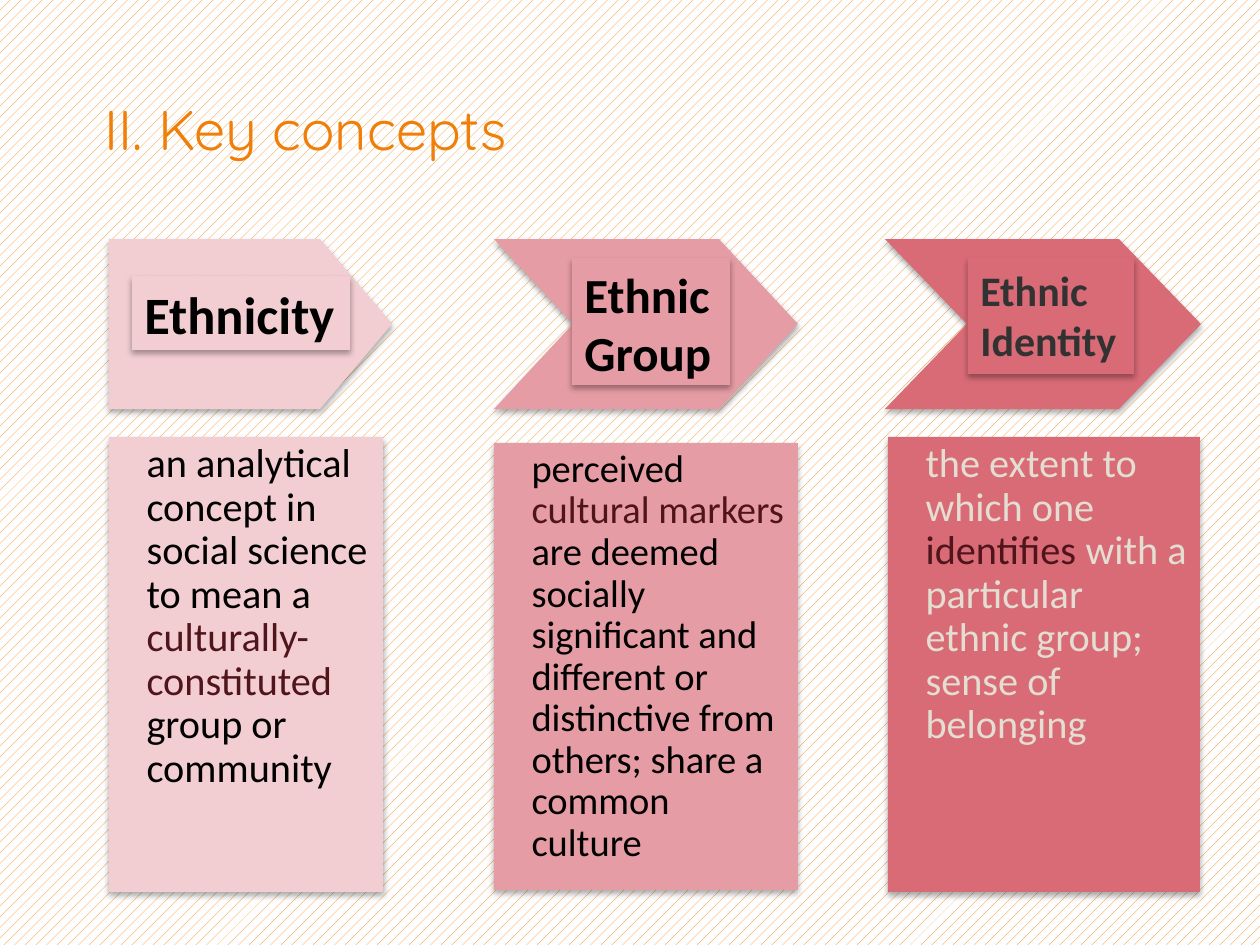
from lxml import etree
from pptx import Presentation, util as u
from pptx.dml.color import RGBColor
from pptx.enum import dml, shapes, text
from pptx.oxml.ns import qn

BLACK, MAROON, CREAM, ORANGE = "000000", "50141B", "E3DED1", "F07F09"
PENTAGON, CHEVRON = shapes.MSO_SHAPE.PENTAGON, shapes.MSO_SHAPE.CHEVRON


def px(length):
    """Turn pixels at 126 to the inch into EMU."""
    return u.Emu(round(length * 914400 / 126))


def paint(target, color):
    """Give a fill a solid hex colour."""
    target.solid()
    target.fore_color.rgb = RGBColor.from_string(color)


def add_shadow(shape):
    """Give a shape a soft shadow straight below it."""
    shape.shadow.inherit = False
    effects = shape._element.spPr.find(qn("a:effectLst"))
    outer = etree.SubElement(effects, qn("a:outerShdw"), blurRad=str(u.Pt(3.5)),
                             dist=str(u.Pt(2.2)), dir="5400000", rotWithShape="0")
    color = etree.SubElement(outer, qn("a:srgbClr"), val=BLACK)
    etree.SubElement(color, qn("a:alpha"), val="32000")


def add_panel(group, kind, box, color):
    """Add a borderless shadowed shape with text starting at its top left."""
    panel = group.shapes.add_shape(kind, *map(px, box))
    paint(panel.fill, color)
    panel.line.fill.background()
    add_shadow(panel)
    panel.text_frame.word_wrap = True
    panel.text_frame.vertical_anchor = text.MSO_ANCHOR.TOP
    panel.text_frame.paragraphs[0].alignment = text.PP_ALIGN.LEFT
    return panel


def add_run(paragraph, words, size, color, font="Calibri", bold=False):
    """Add one formatted run."""
    run = paragraph.add_run()
    run.text = words
    run.font.size, run.font.name, run.font.bold = u.Pt(size), font, bold
    paint(run.font.fill, color)


def add_title(slide, box, words):
    """Place and format the slide title."""
    title = slide.shapes.title
    title.left, title.top, title.width, title.height = map(px, box)
    title.text_frame.vertical_anchor = text.MSO_ANCHOR.BOTTOM
    paragraph = title.text_frame.paragraphs[0]
    paragraph.alignment = text.PP_ALIGN.LEFT
    add_run(paragraph, words, 32, ORANGE, "Quicksand")


def add_concept(slide, box, color, arrow, body, label):
    """Add an arrow, its definition and its name inside a column box."""
    left, top, width, height = box
    group = slide.shapes.add_group_shape()

    kind, point = arrow
    arrow_height = 170
    pointer = add_panel(group, kind, (left, top, width, arrow_height), color)
    pointer.adjustments[0] = point / arrow_height

    (dx, dy, body_width, body_height), size, runs = body
    definition = add_panel(group, shapes.MSO_SHAPE.RECTANGLE,
                           (left + dx, top + dy, body_width, body_height), color)
    paragraph = definition.text_frame.paragraphs[0]
    paragraph.line_spacing = 0.9
    paragraph._p.get_or_add_pPr().set("marL", str(u.Inches(0.2)))
    for words, text_color in runs:
        add_run(paragraph, words, size, text_color)

    (dx, dy, label_width, label_height), size, text_color, lines = label
    name = add_panel(group, shapes.MSO_SHAPE.RECTANGLE,
                     (left + dx, top + dy, label_width, label_height), color)
    paragraph = name.text_frame.paragraphs[0]
    for index, line in enumerate(lines):
        if index:
            paragraph.add_line_break()
        add_run(paragraph, line, size, text_color, bold=True)


CONCEPTS = [
    ((109, 239, 283, 653), "F2CED2", (PENTAGON, 72),
     ((0, 198, 274, 455), 23,
      [("an analytical concept in social science to mean a ", BLACK),
       ("culturally-constituted ", MAROON),
       ("group or community", BLACK)]),
     ((23, 37, 218, 74), 30, BLACK, ["Ethnicity"])),
    ((494, 239, 304, 653), "E69CA4", (CHEVRON, 79),
     ((0, 204, 304, 447), 22,
      [("perceived ", BLACK),
       ("cultural markers ", MAROON),
       ("are deemed socially significant and different or distinctive "
        "from others; share a common culture", BLACK)]),
     ((78, 19, 158, 127), 28, BLACK, ["Ethnic", "Group"])),
    ((885, 239, 316, 653), "D96B77", (CHEVRON, 82),
     ((3, 198, 312, 455), 23,
      [("the extent to which one ", CREAM),
       ("identifies ", MAROON),
       ("with a particular ethnic group; sense of belonging", CREAM)]),
     ((83, 19, 166, 116), 24, "323232", ["Ethnic", "Identity"])),
]

deck = Presentation()
deck.slide_width, deck.slide_height = px(1260), px(945)
slide = deck.slides.add_slide(deck.slide_layouts[5])
backdrop = slide.background.fill
backdrop.patterned()
backdrop.pattern = dml.MSO_PATTERN.PERCENT_20
backdrop.fore_color.rgb = RGBColor.from_string(ORANGE)
backdrop.back_color.rgb = RGBColor.from_string("FFFFFF")

add_title(slide, (92, 10, 968, 158), "II. Key concepts")
for concept in CONCEPTS:
    add_concept(slide, *concept)
deck.save("out.pptx")
